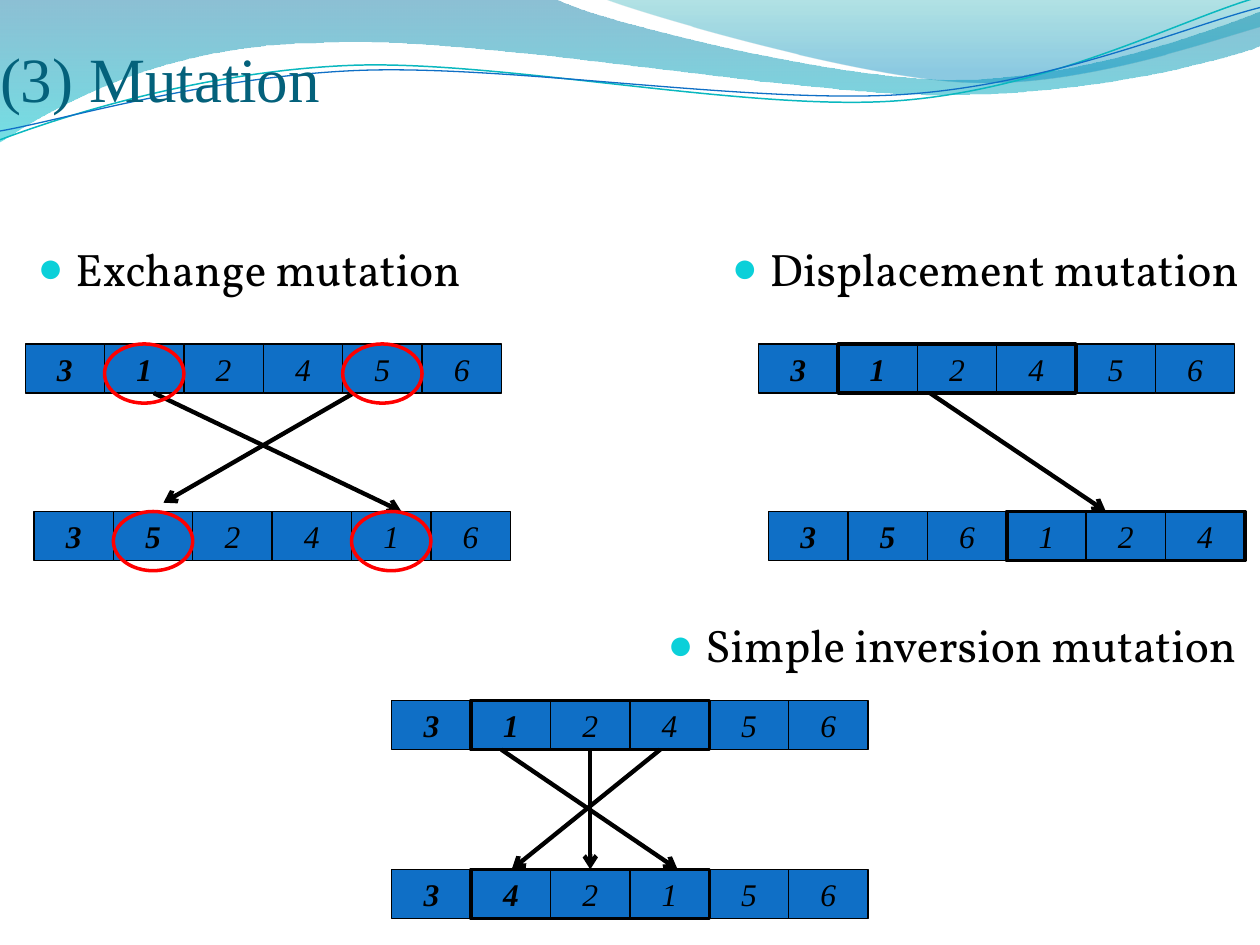
from lxml import etree
from pptx import Presentation
from pptx.dml.color import RGBColor
from pptx.enum.shapes import MSO_CONNECTOR, MSO_SHAPE
from pptx.enum.text import MSO_ANCHOR, PP_ALIGN
from pptx.oxml.ns import qn
from pptx.util import Inches, Pt

STRAIGHT = MSO_CONNECTOR.STRAIGHT
RECT, OVAL = MSO_SHAPE.RECTANGLE, MSO_SHAPE.OVAL
MIDDLE, BOTTOM = MSO_ANCHOR.MIDDLE, MSO_ANCHOR.BOTTOM
CENTER = PP_ALIGN.CENTER

SERIF, BODY_FONT = "Times New Roman", "Vollkorn"
BLACK, RED, BLUE = "000000", "FF0000", "0F6FC6"
TITLE_COLOR, BULLET_COLOR = "04617B", "0BD0D9"
CELL_W, CELL_H, OVAL_H = 0.63, 0.39, 0.47
BOLD_GENES = 2

TITLE = ("(3) Mutation", (0, 0.16, 5.35, 0.75))
HEADINGS = [
    ("Exchange mutation", (0.2, 1.86, 3.94, 0.82)),
    ("Displacement mutation", (5.71, 1.86, 4.29, 0.82)),
    ("Simple inversion mutation", (5.2, 4.85, 4.8, 0.63)),
]

# Row: genes, left, top, marks as (first column, columns).
# Arrow: column position in the parent, column position in the child, gap above the child.
MUTATIONS = [
    {"mark": OVAL, "mark_color": RED, "mark_h": OVAL_H,
     "parent": ("312456", 0.2, 2.73, [(1, 1), (4, 1)]),
     "child": ("352416", 0.27, 4.06, [(1, 1), (4, 1)]),
     "arrows": [(1.62, 4.63, 0), (4.14, 1.63, 0.07)]},
    {"mark": RECT, "mark_color": BLACK, "mark_h": CELL_H,
     "parent": ("312456", 6.02, 2.73, [(1, 3)]),
     "child": ("356124", 6.1, 4.06, [(3, 3)]),
     "arrows": [(2.16, 4.25, 0)]},
    {"mark": RECT, "mark_color": BLACK, "mark_h": CELL_H,
     "parent": ("312456", 3.11, 5.56, [(1, 3)]),
     "child": ("342156", 3.11, 6.9, [(1, 3)]),
     "arrows": [(1.38, 3.6, 0), (3.38, 1.51, 0), (2.5, 2.5, 0)]},
]

# Path: a two-number step is a straight line, a six-number step a Bézier curve.
BANDS = [
    ([(0, -0.01), (4.4, -0.01), (4.76, 0.17, 6.64, 0.63, 7.58, 0.63),
      (8.53, 0.63, 9.58, 0.26, 10, 0.09), (10.01, 0.36),
      (9.83, 0.44, 8.7, 0.76, 7.46, 0.75), (6.22, 0.75, 3.82, 0.28, 2.57, 0.34),
      (1.29, 0.35, 0.46, 0.83, -0.01, 1.13), (0, -0.01)],
     [(0, "0074A1", 45), (1, "00C6CF", 55)]),
    ([(4.79, -0.01), (5.09, 0.11, 6.82, 0.62, 7.69, 0.65),
      (8.56, 0.69, 9.61, 0.32, 10, 0.21), (10, 0), (4.79, -0.01)],
     [(0, "00A1A9", 30), (0.8, "008BBF", 45)]),
]
WAVES = [
    ([(0, 1.11), (0.48, 0.93, 1.58, 0.57, 2.77, 0.52),
      (3.95, 0.47, 5.93, 0.89, 7.13, 0.8), (8.33, 0.71, 9.38, 0.15, 9.98, -0.02)],
     "0AB8BF", 0.85),
    ([(0, 1.04), (0.47, 0.96, 1.64, 0.61, 2.83, 0.56),
      (4.03, 0.51, 5.97, 0.83, 7.17, 0.75), (8.36, 0.67, 9.41, 0.21, 10, 0.06)],
     BLUE, 0.75),
]


def rgb(color):
    return RGBColor.from_string(color)


def add_outline(slide, steps, close):
    """Lay every point as a line segment, then join each curve's three segments."""
    points = [(Inches(x), Inches(y)) for step in steps
              for x, y in zip(step[::2], step[1::2])]
    builder = slide.shapes.build_freeform(*points[0])
    builder.add_line_segments(points[1:], close=close)
    outline = builder.convert_to_shape()
    outline.shadow.inherit = False
    segments = iter(list(outline.element.spPr.iter(qn("a:lnTo"))))
    for step in steps[1:]:
        first = next(segments)
        if len(step) == 6:
            first.tag = qn("a:cubicBezTo")
            for _ in range(2):
                later = next(segments)
                first.append(later[0])
                later.getparent().remove(later)
    return outline


def add_band(slide, steps, stops):
    band = add_outline(slide, steps, True)
    band.line.fill.background()
    band.fill.gradient()
    band.fill.gradient_angle = 270
    for stop, (position, color, _) in zip(band.fill.gradient_stops, stops):
        stop.position = position
        stop.color.rgb = rgb(color)
    for tint, (_, _, opacity) in zip(band.element.spPr.iter(qn("a:srgbClr")), stops):
        etree.SubElement(tint, qn("a:alpha"), val=str(opacity * 1000))


def set_line(item, color, width):
    item.line.color.rgb = rgb(color)
    item.line.width = Pt(width)


def style_text(paragraph, font, size, color, bold=False, italic=False):
    for run in paragraph.runs:
        run.font.name, run.font.size = font, Pt(size)
        run.font.bold, run.font.italic = bold, italic
        run.font.color.rgb = rgb(color)


def add_text(slide, text, place):
    frame = slide.shapes.add_textbox(*map(Inches, place)).text_frame
    frame.word_wrap = True
    frame.text = text
    return frame


def add_heading(slide, text, place):
    paragraph = add_text(slide, text, place).paragraphs[0]
    props = paragraph._p.get_or_add_pPr()
    props.set("marL", str(Inches(0.3)))
    props.set("indent", str(Inches(-0.3)))
    bullet_color = etree.SubElement(props, qn("a:buClr"))
    etree.SubElement(bullet_color, qn("a:srgbClr"), val=BULLET_COLOR)
    etree.SubElement(props, qn("a:buSzPct"), val="95000")
    etree.SubElement(props, qn("a:buFont"), typeface=SERIF)
    etree.SubElement(props, qn("a:buChar"), char="●")
    style_text(paragraph, BODY_FONT, 26, BLACK)


def add_box(slide, preset, place, line_color, width, fill=None):
    box = slide.shapes.add_shape(preset, *map(Inches, place))
    box.shadow.inherit = False
    if fill:
        box.fill.solid()
        box.fill.fore_color.rgb = rgb(fill)
    else:
        box.fill.background()
    set_line(box, line_color, width)
    return box


def add_chromosome(slide, genes, left, top):
    for column, gene in enumerate(genes):
        place = (left + column * CELL_W, top, CELL_W, CELL_H)
        frame = add_box(slide, RECT, place, BLACK, 0.75, BLUE).text_frame
        frame.text = gene
        frame.vertical_anchor = MIDDLE
        frame.paragraphs[0].alignment = CENTER
        style_text(frame.paragraphs[0], SERIF, 18, BLACK, column < BOLD_GENES, True)


def add_arrow(slide, start, end):
    arrow = slide.shapes.add_connector(STRAIGHT, *map(Inches, start + end))
    set_line(arrow, BLACK, 2.5)
    etree.SubElement(arrow.line._get_or_add_ln(), qn("a:tailEnd"), type="arrow")
    etree.SubElement(arrow.element.spPr, qn("a:effectLst"))


def add_mutation(slide, mutation):
    rows = [mutation["parent"], mutation["child"]]
    for genes, left, top, _ in rows:
        add_chromosome(slide, genes, left, top)
    (_, parent_left, parent_top, _), (_, child_left, child_top, _) = rows
    for parent_column, child_column, gap in mutation["arrows"]:
        add_arrow(slide, (parent_left + parent_column * CELL_W, parent_top + CELL_H),
                  (child_left + child_column * CELL_W, child_top - gap))
    for _, left, top, marks in rows:
        for first, columns in marks:
            place = (left + first * CELL_W, top, columns * CELL_W, mutation["mark_h"])
            add_box(slide, mutation["mark"], place, mutation["mark_color"], 2)


def main():
    deck = Presentation()
    deck.slide_width, deck.slide_height = Inches(10), Inches(7.5)
    slide = deck.slides.add_slide(deck.slide_layouts[6])
    for steps, stops in BANDS:
        add_band(slide, steps, stops)
    for steps, color, width in WAVES:
        wave = add_outline(slide, steps, False)
        wave.fill.background()
        set_line(wave, color, width)
    title = add_text(slide, *TITLE)
    title.margin_left = title.margin_right = title.margin_bottom = 0
    title.vertical_anchor = BOTTOM
    style_text(title.paragraphs[0], SERIF, 36, TITLE_COLOR)
    for text, place in HEADINGS:
        add_heading(slide, text, place)
    for mutation in MUTATIONS:
        add_mutation(slide, mutation)
    deck.save("out.pptx")


if __name__ == "__main__":
    main()
